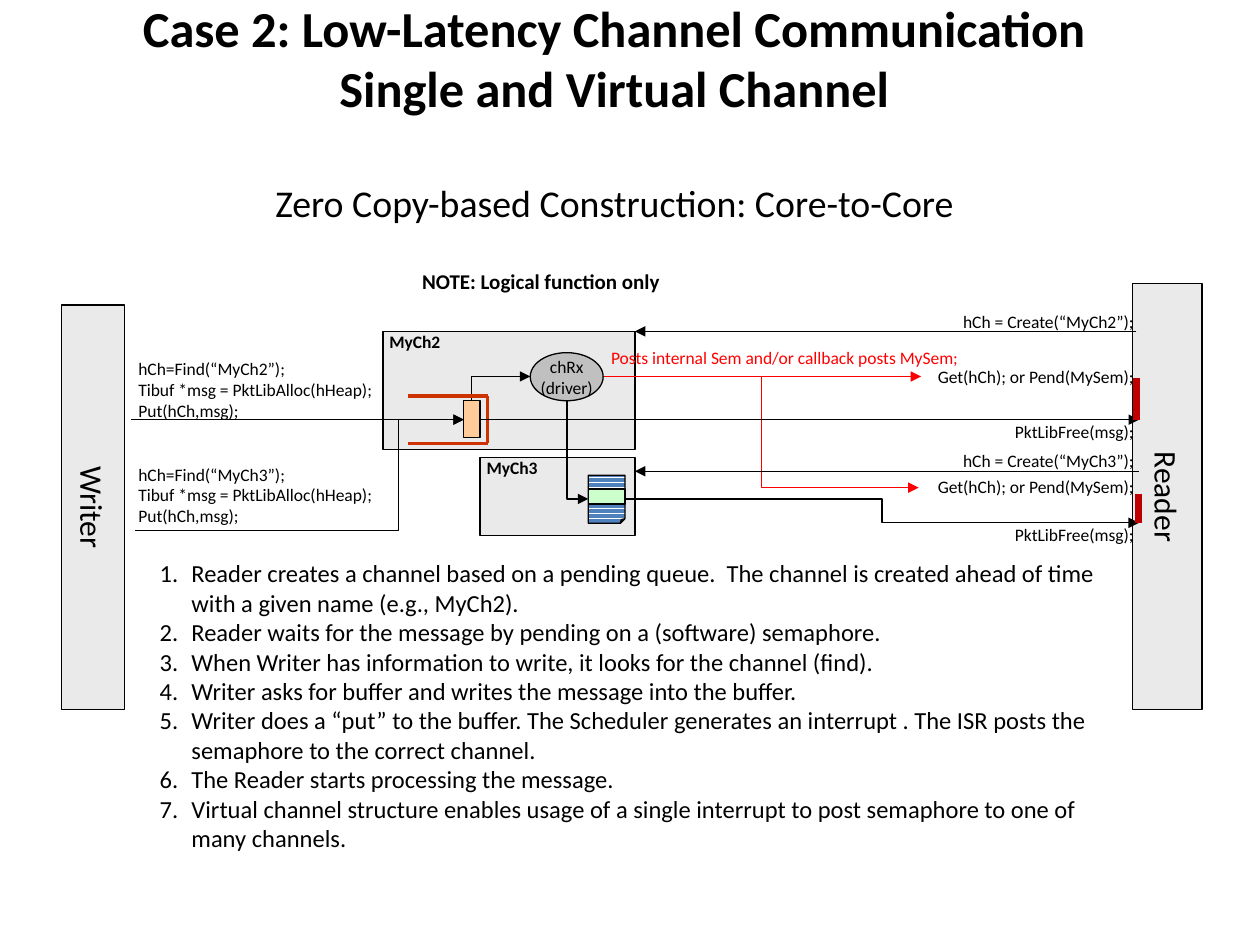
from dataclasses import dataclass

from lxml import etree
from pptx import Presentation
from pptx import util as u
from pptx.dml.color import RGBColor
from pptx.enum import dml, shapes, text
from pptx.oxml.ns import qn

Cm, Pt = u.Cm, u.Pt
LEFT, CENTER, RIGHT = text.PP_ALIGN.LEFT, text.PP_ALIGN.CENTER, text.PP_ALIGN.RIGHT
KIND = shapes.MSO_SHAPE


@dataclass(frozen=True)
class Theme:
    font: str = "Calibri"
    ink: str = "000000"
    panel: str = "EAEAEA"
    driver: str = "C0C0C0"
    buffer: str = "FFCC99"
    queue: str = "CC3300"
    event: str = "FF0000"
    busy: str = "C00000"
    stripe: str = "4F81BD"
    paper: str = "FFFFFF"
    entry: str = "CCFFCC"
    title: float = 28.8
    subtitle: float = 21.6
    core: float = 18
    body: float = 14
    note: float = 12
    label: float = 10
    thin: float = 0.75
    medium: float = 2
    thick: float = 4


def set_all(obj, values):
    for name, value in values.items():
        setattr(obj, name, value)


def set_geometry(sp, preset, guide_name="adj1", value=None):
    geometry = sp._element.spPr.find(qn("a:prstGeom"))
    geometry.set("prst", preset)
    if value is not None:
        guide = etree.SubElement(geometry.find(qn("a:avLst")), qn("a:gd"))
        guide.set("name", guide_name)
        guide.set("fmla", f"val {value}")


class Diagram:
    def __init__(self, slide, theme):
        self.s = slide
        self.t = theme

    def paragraph(self, tf, words, size, first, align=LEFT, bold=False,
                  color=None, before=0, numbered=False):
        p = tf.paragraphs[0] if first else tf.add_paragraph()
        p.text = words
        if numbered:
            ppr = p._p.get_or_add_pPr()
            ppr.set("marL", str(Cm(0.64)))
            ppr.set("indent", str(-Cm(0.64)))
            etree.SubElement(ppr, qn("a:buFont")).set("typeface", "+mj-lt")
            etree.SubElement(ppr, qn("a:buAutoNum")).set("type", "arabicPeriod")
        set_all(p, {"alignment": align, "space_before": Pt(before)})
        for r in p.runs:
            set_all(r.font, {"name": self.t.font, "size": Pt(size), "bold": bold})
            r.font.color.rgb = RGBColor.from_string(color or self.t.ink)

    def textbox(self, box, lines, size, anchor=text.MSO_ANCHOR.TOP, **fmt):
        tf = self.s.shapes.add_textbox(*map(Cm, box)).text_frame
        set_all(tf, {"word_wrap": True, "vertical_anchor": anchor})
        for i, words in enumerate(lines):
            self.paragraph(tf, words, size, i == 0, **fmt)
        return tf

    def shape(self, kind, box, fill, lines=(), size=10, align=LEFT, bold=False,
              anchor=text.MSO_ANCHOR.MIDDLE, side=0.0, vertical=False):
        sp = self.s.shapes.add_shape(kind, *map(Cm, box))
        sp.shadow.inherit = False
        sp.fill.solid()
        sp.fill.fore_color.rgb = RGBColor.from_string(fill)
        sp.line.color.rgb = RGBColor.from_string(self.t.ink)
        sp.line.width = Pt(self.t.thin)
        tf = sp.text_frame
        set_all(tf, {"word_wrap": False, "vertical_anchor": anchor,
                     "margin_left": Cm(side), "margin_right": Cm(side),
                     "margin_top": 0, "margin_bottom": 0})
        if vertical:
            tf._txBody.bodyPr.set("vert", "vert")
        for i, words in enumerate(lines):
            self.paragraph(tf, words, size, i == 0, align=align, bold=bold)
        return sp

    def line(self, start, end, color=None, width=None, preset="line",
             arrow="tailEnd", bend=None):
        elbow = preset != "line"
        kind = shapes.MSO_CONNECTOR.ELBOW if elbow else shapes.MSO_CONNECTOR.STRAIGHT
        c = self.s.shapes.add_connector(kind, *map(Cm, (*start, *end)))
        c.line.color.rgb = RGBColor.from_string(color or self.t.ink)
        c.line.width = Pt(width or self.t.thin)
        set_geometry(c, preset, value=bend)
        if arrow:
            etree.SubElement(c.line._get_or_add_ln(), qn(f"a:{arrow}")).set("type", "triangle")
        etree.SubElement(c._element.spPr, qn("a:effectLst"))


def build():
    prs = Presentation()
    set_all(prs, {"slide_width": Cm(25.4), "slide_height": Cm(19.05)})
    t = Theme()
    d = Diagram(prs.slides.add_slide(prs.slide_layouts[6]), t)

    # Title and subtitle
    tf = d.textbox((0.64, 0, 23.5, 4.47),
                   ["Case 2: Low-Latency Channel Communication\vSingle and Virtual Channel"],
                   t.title, anchor=text.MSO_ANCHOR.MIDDLE, align=CENTER, bold=True)
    d.paragraph(tf, "Zero Copy-based Construction: Core-to-Core", t.subtitle, False,
                align=CENTER, before=35)

    # Reader and writer cores
    for name, box in (("Reader", (22.83, 5.72, 1.4, 8.59)),
                      ("Writer", (1.24, 6.15, 1.27, 8.15))):
        d.shape(KIND.RECTANGLE, box, t.panel, [name], t.core, CENTER, vertical=True)

    # Note and numbered steps
    d.textbox((8.26, 5.28, 9.73, 0.76), ["NOTE: Logical function only"], t.note, bold=True)
    d.textbox((2.97, 11.13, 19.48, 6.25), [
        "Reader creates a channel based on a pending queue.  The channel is created "
        "ahead of time with a given name (e.g., MyCh2).",
        "Reader waits for the message by pending on a (software) semaphore.",
        "When Writer has information to write, it looks for the channel (find).",
        "Writer asks for buffer and writes the message into the buffer.",
        "Writer does a “put” to the buffer. The Scheduler generates an interrupt . "
        "The ISR posts the semaphore to the correct channel.",
        "The Reader starts processing the message.",
        "Virtual channel structure enables usage of a single interrupt to post "
        "semaphore to one of many channels.",
    ], t.body, numbered=True)

    # Channels
    for name, box in (("MyCh3", (9.68, 9.22, 3.12, 1.57)),
                      ("MyCh2", (7.72, 6.68, 5.08, 2.39))):
        d.shape(KIND.RECTANGLE, box, t.panel, [name], t.label, bold=True,
                anchor=text.MSO_ANCHOR.TOP, side=0.13)

    # Event path from the driver to both pending calls
    for end in ((18.57, 7.59), (18.52, 9.83)):
        d.line((12.17, 7.59), end, t.event, preset="bentConnector3")
    d.textbox((12.07, 6.88, 8.28, 0.69),
              ["Posts internal Sem and/or callback posts MySem;"], t.label, color=t.event)
    d.shape(KIND.OVAL, (10.69, 7.11, 1.47, 0.97), t.driver, ["chRx", "(driver)"],
            t.label, CENTER)

    # Queue with its buffer
    d.line((10.69, 7.59), (9.5, 8.08), preset="bentConnector2", arrow="headEnd")
    d.line((2.64, 8.46), (9.35, 8.46))
    d.shape(KIND.RECTANGLE, (9.35, 8.08, 0.33, 0.74), t.buffer)
    left, right, top, bottom = 8.23, 9.83, 7.98, 8.94
    for start, end in (((left, top), (right, top)),
                       ((left, bottom), (right, bottom)),
                       ((right, bottom), (right, top))):
        d.line(start, end, t.queue, t.medium, arrow=None)

    # Message store of the virtual channel
    page = d.shape(KIND.FOLDED_CORNER, (11.86, 9.58, 0.74, 0.97), t.paper)
    set_geometry(page, "foldedCorner", "adj", 12500)
    page.fill.patterned()
    page.fill.pattern = dml.MSO_PATTERN.DARK_HORIZONTAL
    page.fill.fore_color.rgb = RGBColor.from_string(t.stripe)
    page.fill.back_color.rgb = RGBColor.from_string(t.paper)
    d.line((11.86, 10.06), (11.43, 8.08), preset="bentConnector2", arrow="headEnd")

    # Channel creation, message delivery and busy bars of the reader
    d.line((22.91, 6.68), (12.8, 6.68))
    d.line((22.96, 9.5), (12.8, 9.5))
    d.line((9.68, 8.46), (22.96, 8.46))
    d.line((12.6, 10.06), (22.96, 10.54), preset="bentConnector3")
    d.line((22.91, 7.62), (22.91, 8.46), t.busy, t.thick, arrow=None)
    d.line((22.96, 9.96), (22.96, 10.54), t.busy, t.thick, arrow=None)

    # Calls of the reader and the writer for each channel
    for name, reader_tops, writer_top in (("MyCh2", (6.15, 7.26, 8.36), 7.09),
                                          ("MyCh3", (8.94, 9.47, 10.44), 9.22)):
        reader = (f"hCh = Create(“{name}”);", "Get(hCh); or Pend(MySem);", "PktLibFree(msg);")
        for call, top, width in zip(reader, reader_tops, (4.67, 4.55, 3.61)):
            d.textbox((23.1 - width, top, width, 0.69), [call], t.label, align=RIGHT)
        writer = (f"hCh=Find(“{name}”);", "Tibuf *msg = PktLibAlloc(hHeap);", "Put(hCh,msg);")
        for i, (call, width) in enumerate(zip(writer, (4.24, 5.92, 3.18))):
            d.textbox((2.54, writer_top + 0.42 * i, width, 0.69), [call], t.label)

    # Put into the virtual channel and its entry
    d.line((2.72, 10.69), (9.35, 8.46), preset="bentConnector3", bend=80100)
    d.shape(KIND.RECTANGLE, (11.86, 9.86, 0.74, 0.3), t.entry)

    prs.save("out.pptx")


if __name__ == "__main__":
    build()
